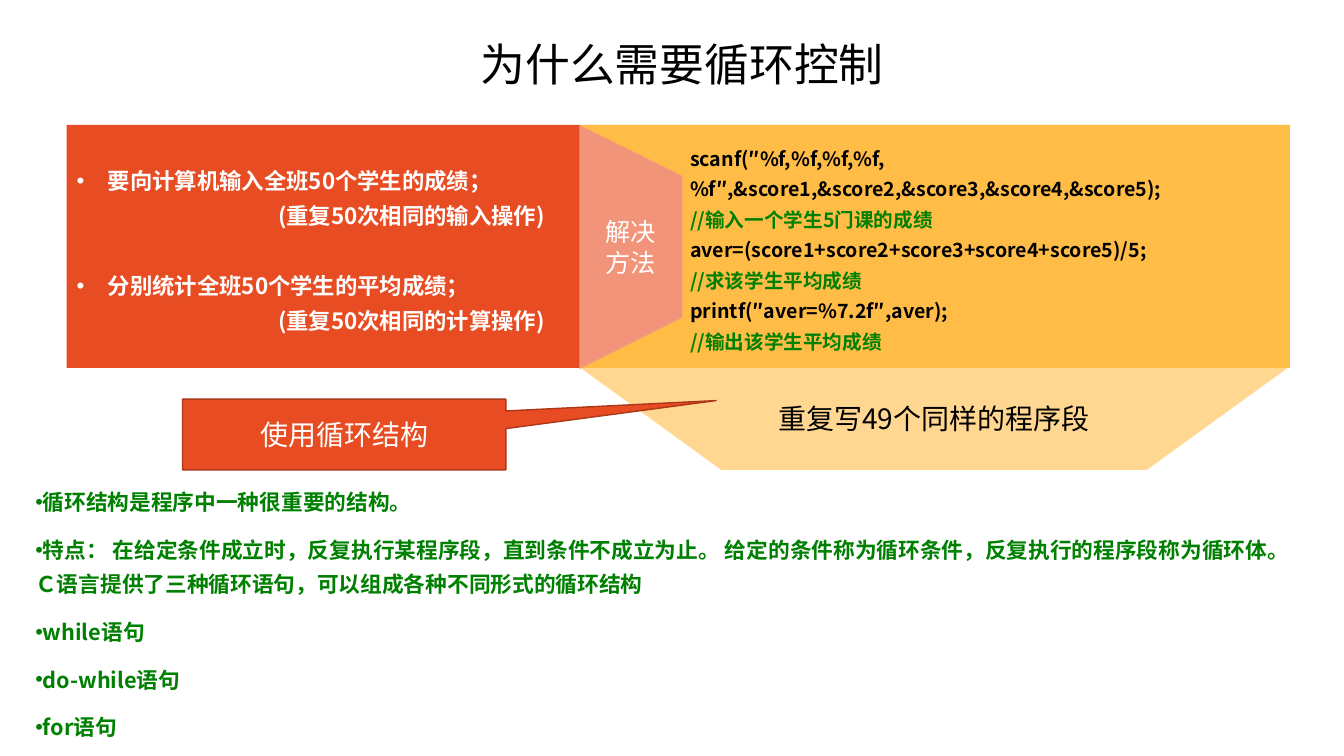
import pptx
import pptx.dml.color
import pptx.enum.shapes
import pptx.enum.text
import pptx.oxml.ns
import pptx.util
from lxml import etree

Cm, Pt = pptx.util.Cm, pptx.util.Pt
RGBColor = pptx.dml.color.RGBColor
Shape = pptx.enum.shapes.MSO_SHAPE
Align = pptx.enum.text.PP_ALIGN
Anchor = pptx.enum.text.MSO_ANCHOR
qn = pptx.oxml.ns.qn

BLACK = RGBColor(0x00, 0x00, 0x00)
WHITE = RGBColor(0xFF, 0xFF, 0xFF)
GREEN = RGBColor(0x00, 0x80, 0x00)
RED = RGBColor(0xE8, 0x4C, 0x22)
DARK_RED = RGBColor(0xAC, 0x38, 0x19)
PINK = RGBColor(0xF1, 0x94, 0x7A)
AMBER = RGBColor(0xFF, 0xBD, 0x47)
PALE_AMBER = RGBColor(0xFF, 0xD7, 0x91)
FONT = "Noto Sans CJK SC"

TASKS = [
    ("要向计算机输入全班50个学生的成绩；", "(重复50次相同的输入操作)"),
    ("分别统计全班50个学生的平均成绩；", "(重复50次相同的计算操作)"),
]
CODE = [
    "scanf(″%f,%f,%f,%f,%f″,&score1,&score2,&score3,&score4,&score5);",
    "//输入一个学生5门课的成绩",
    "aver=(score1+score2+score3+score4+score5)/5;",
    "//求该学生平均成绩",
    "printf(″aver=%7.2f″,aver);",
    "//输出该学生平均成绩",
]
NOTES = [
    "循环结构是程序中一种很重要的结构。",
    "特点： 在给定条件成立时，反复执行某程序段，直到条件不成立为止。 "
    "给定的条件称为循环条件，反复执行的程序段称为循环体。 "
    "Ｃ语言提供了三种循环语句，可以组成各种不同形式的循环结构",
    "while语句",
    "do-while语句",
    "for语句",
]


def prepare_frame(box, anchor=Anchor.MIDDLE, side=0.25, left=None):
    """Set wrapping, anchor and insets of a box and return its text frame."""
    frame = box.text_frame
    frame.word_wrap = True
    frame.vertical_anchor = anchor
    frame.margin_left = Cm(side if left is None else left)
    frame.margin_right = Cm(side)
    frame.margin_top = frame.margin_bottom = Cm(0.12)
    return frame


def add_para(frame, text, size, color, bold=False, align=Align.LEFT,
             spacing=1.0, before=0, left=0, indent=0, bullet=False):
    """Write one paragraph, using the empty first one when it is free."""
    para = frame.paragraphs[0]
    if para.runs:
        para = frame.add_paragraph()
        para.space_before = Pt(before)
    para.add_run().text = text
    para.alignment = align
    para.line_spacing = spacing
    properties = para._p.get_or_add_pPr()
    properties.set("marL", str(Cm(left)))
    properties.set("indent", str(Cm(indent)))
    if bullet:
        etree.SubElement(properties, qn("a:buFont")).set("typeface", "Arial")
        etree.SubElement(properties, qn("a:buChar")).set("char", "•")
    font = para.font
    font.name, font.size, font.bold = FONT, Pt(size), bold
    font.color.rgb = color
    etree.SubElement(font._element, qn("a:ea")).set("typeface", FONT)


def paint(shape, fill, line=None):
    """Give a shape a flat fill and an optional outline."""
    shape.shadow.inherit = False
    shape.fill.solid()
    shape.fill.fore_color.rgb = fill
    if line is None:
        shape.line.fill.background()
    else:
        shape.line.color.rgb = line
        shape.line.width = Pt(1)
    return shape


def add_block(page, kind, place, fill, line=None):
    """Add a filled preset shape at a place given in centimetres."""
    return paint(page.shapes.add_shape(kind, *map(Cm, place)), fill, line)


def add_funnel(page, corners, fill):
    """Add a closed outline through corners given in centimetres."""
    points = [(Cm(x), Cm(y)) for x, y in corners]
    builder = page.shapes.build_freeform(*points[0], scale=1.0)
    builder.add_line_segments(points[1:], close=True)
    return paint(builder.convert_to_shape(), fill)


def add_tasks(page):
    """Add the red panel with the repeated tasks."""
    box = add_block(page, Shape.RECTANGLE, (1.68, 3.15, 12.95, 6.12), RED)
    frame = prepare_frame(box)
    for task, remark in TASKS:
        add_para(frame, task, 16, WHITE, True, spacing=1.3, before=25,
                 left=0.79, indent=-0.79, bullet=True)
        add_para(frame, remark, 16, WHITE, True, spacing=1.3, left=5.08)


def add_code(page):
    """Add the amber panel with the program and its green comments."""
    box = add_block(page, Shape.RECTANGLE, (14.6, 3.15, 17.91, 6.12), AMBER)
    frame = prepare_frame(box, left=2.79)
    for line in CODE:
        color = GREEN if line.startswith("//") else BLACK
        add_para(frame, line, 14, color, True, spacing=1.3)


def add_notes(page):
    """Add the green list at the foot of the page."""
    box = page.shapes.add_textbox(Cm(0.64), Cm(12.01), Cm(32.44), Cm(7.04))
    frame = prepare_frame(box, Anchor.TOP)
    for note in NOTES:
        add_para(frame, note, 15.5, GREEN, True, spacing=1.3, before=10,
                 indent=-0.64, bullet=True)


def main():
    """Build the page and save the deck."""
    deck = pptx.Presentation()
    deck.slide_width, deck.slide_height = Cm(33.87), Cm(19.05)
    page = deck.slides.add_slide(deck.slide_layouts[6])

    title = page.shapes.add_textbox(Cm(2.59), Cm(0.61), Cm(29.21), Cm(2.16))
    add_para(prepare_frame(title), "为什么需要循环控制", 32, BLACK,
             align=Align.CENTER, spacing=0.9)

    repeat = add_block(page, Shape.FLOWCHART_MANUAL_OPERATION,
                       (14.6, 9.25, 17.88, 2.59), PALE_AMBER)
    add_para(prepare_frame(repeat, side=0.18), "重复写49个同样的程序段", 20,
             BLACK, align=Align.CENTER)
    add_code(page)
    add_tasks(page)

    funnel = add_funnel(
        page, [(14.6, 3.15), (17.2, 4.44), (17.2, 8), (14.6, 9.3)], PINK)
    frame = prepare_frame(funnel)
    for word in ("解决", "方法"):
        add_para(frame, word, 18, WHITE, align=Align.CENTER)

    callout = add_block(page, Shape.RECTANGULAR_CALLOUT,
                        (4.6, 10.06, 8.15, 1.78), RED, DARK_RED)
    callout.adjustments[0] = 1.15
    callout.adjustments[1] = -0.48
    add_para(prepare_frame(callout, side=0), "使用循环结构", 20, WHITE,
             align=Align.CENTER)
    add_notes(page)
    deck.save("out.pptx")


if __name__ == "__main__":
    main()
